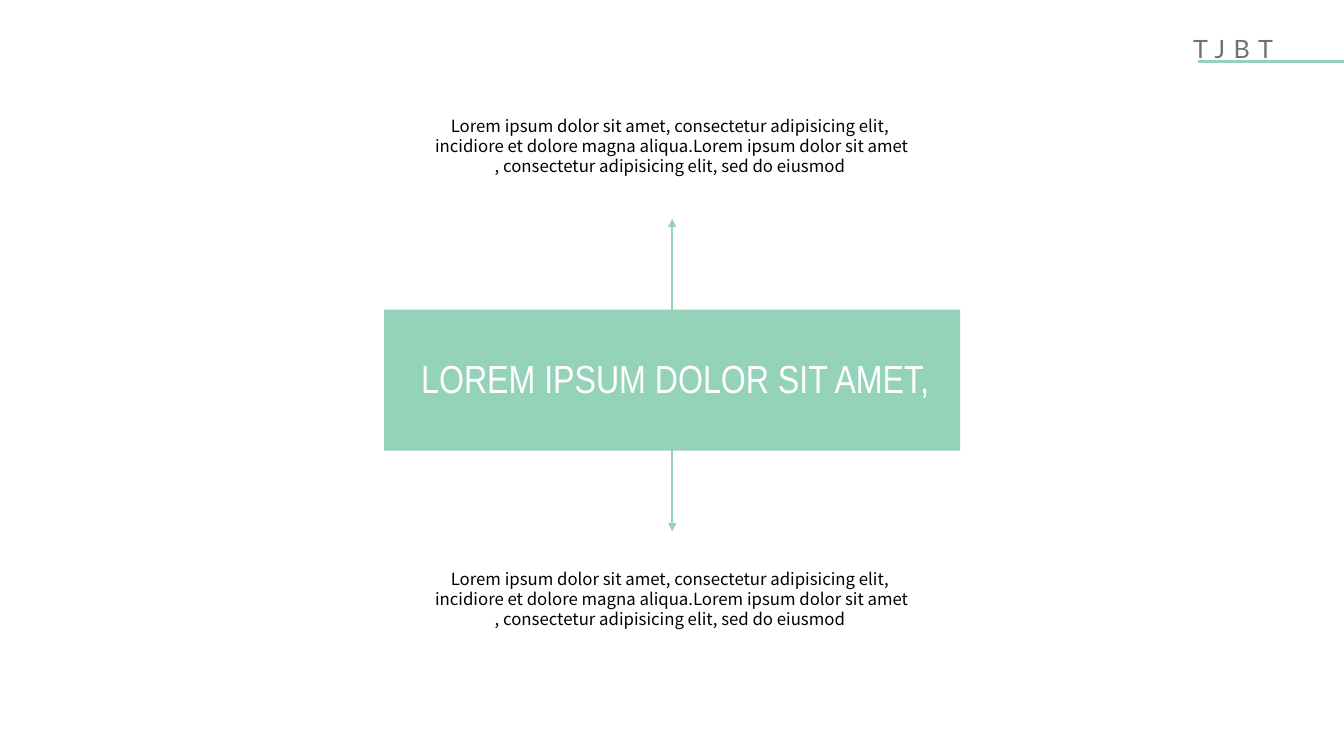
import dataclasses

import lxml.etree
import pptx
import pptx.dml.color
import pptx.enum.shapes
import pptx.enum.text
import pptx.oxml.ns
import pptx.util

Cm = pptx.util.Cm
Pt = pptx.util.Pt
qn = pptx.oxml.ns.qn
ALIGN = pptx.enum.text.PP_ALIGN
ANCHOR = pptx.enum.text.MSO_ANCHOR


@dataclasses.dataclass(frozen=True)
class Theme:
    mint: str = "94D2B9"
    white: str = "FFFFFF"
    black: str = "000000"
    grey: str = "767171"
    title_font: str = "Arial Narrow"
    body_font: str = "Noto Sans CJK SC"
    tag_font: str = "Lato"
    title_size: float = 28
    body_size: float = 12
    body_leading: float = 14.4
    tag_size: float = 18
    tag_tracking: float = 6
    line_width: float = 1.5


class SlideBuilder:
    def __init__(self, slide, theme):
        self.slide = slide
        self.theme = theme

    def color(self, value):
        return pptx.dml.color.RGBColor.from_string(value)

    def set_text(self, sp, lines, font, size, color, align=ALIGN.LEFT, leading=None):
        tf = sp.text_frame
        tf.word_wrap = True
        tf.auto_size = pptx.enum.text.MSO_AUTO_SIZE.NONE
        tf.vertical_anchor = ANCHOR.TOP
        tf.text = "\n".join(lines)
        for p in tf.paragraphs:
            p.alignment = align
            if leading:
                p.line_spacing = Pt(leading)
            p.font.name = font
            p.font.size = Pt(size)
            p.font.color.rgb = self.color(color)

    def box(self, x, y, w, h):
        return self.slide.shapes.add_textbox(Cm(x), Cm(y), Cm(w), Cm(h))

    def banner(self, x, y, w, h):
        sp = self.slide.shapes.add_shape(
            pptx.enum.shapes.MSO_SHAPE.RECTANGLE, Cm(x), Cm(y), Cm(w), Cm(h))
        sp.shadow.inherit = False
        sp.fill.solid()
        sp.fill.fore_color.rgb = self.color(self.theme.mint)
        sp.line.fill.background()

    def title(self, text, x, y, w, h):
        t = self.theme
        sp = self.slide.shapes.title
        sp.left, sp.top, sp.width, sp.height = Cm(x), Cm(y), Cm(w), Cm(h)
        self.set_text(sp, [text], t.title_font, t.title_size, t.white)
        self.slide.shapes.element.append(sp.element)

    def line(self, x1, y1, x2, y2, arrows=False):
        sp = self.slide.shapes.add_connector(
            pptx.enum.shapes.MSO_CONNECTOR.STRAIGHT, Cm(x1), Cm(y1), Cm(x2), Cm(y2))
        sp.line.color.rgb = self.color(self.theme.mint)
        sp.line.width = Pt(self.theme.line_width)
        spPr = sp.element.spPr
        if arrows:
            ln = spPr.find(qn("a:ln"))
            for end in ("a:headEnd", "a:tailEnd"):
                lxml.etree.SubElement(ln, qn(end), type="triangle")
        lxml.etree.SubElement(spPr, qn("a:effectLst"))

    def body(self, lines, x, y, w, h):
        t = self.theme
        self.set_text(self.box(x, y, w, h), lines, t.body_font, t.body_size,
                      t.black, ALIGN.CENTER, t.body_leading)

    def tag(self, text, x, y, w, h):
        t = self.theme
        sp = self.box(x, y, w, h)
        self.set_text(sp, [text], t.tag_font, t.tag_size, t.grey)
        sp.text_frame.paragraphs[0].runs[0].font.size = Pt(t.tag_size)
        for rPr in sp.element.iter(qn("a:rPr")):
            rPr.set("spc", str(int(t.tag_tracking * 100)))


def main():
    prs = pptx.Presentation()
    prs.slide_width, prs.slide_height = Cm(33.87), Cm(19.05)
    s = SlideBuilder(prs.slides.add_slide(prs.slide_layouts[5]), Theme())
    lorem = [
        "Lorem ipsum dolor sit amet, consectetur adipisicing elit, ",
        "incidiore et dolore magna aliqua.Lorem ipsum dolor sit amet",
        ", consectetur adipisicing elit, sed do eiusmod ",
    ]

    s.banner(9.68, 7.8, 14.52, 3.56)
    for arrow_top, text_top in ((5.51, 2.79), (10.24, 14.2)):
        s.line(16.94, arrow_top, 16.94, arrow_top + 3.15, arrows=True)
        s.body(lorem, 7.92, text_top, 18.03, 1.8)
    s.title("LOREM IPSUM DOLOR SIT AMET,", 10.36, 8.79, 13.82, 1.45)
    s.line(30.18, 1.55, 33.87, 1.55)
    s.tag("TJBT", 29.82, 0.71, 4.05, 1.02)

    prs.save("out.pptx")


if __name__ == "__main__":
    main()
